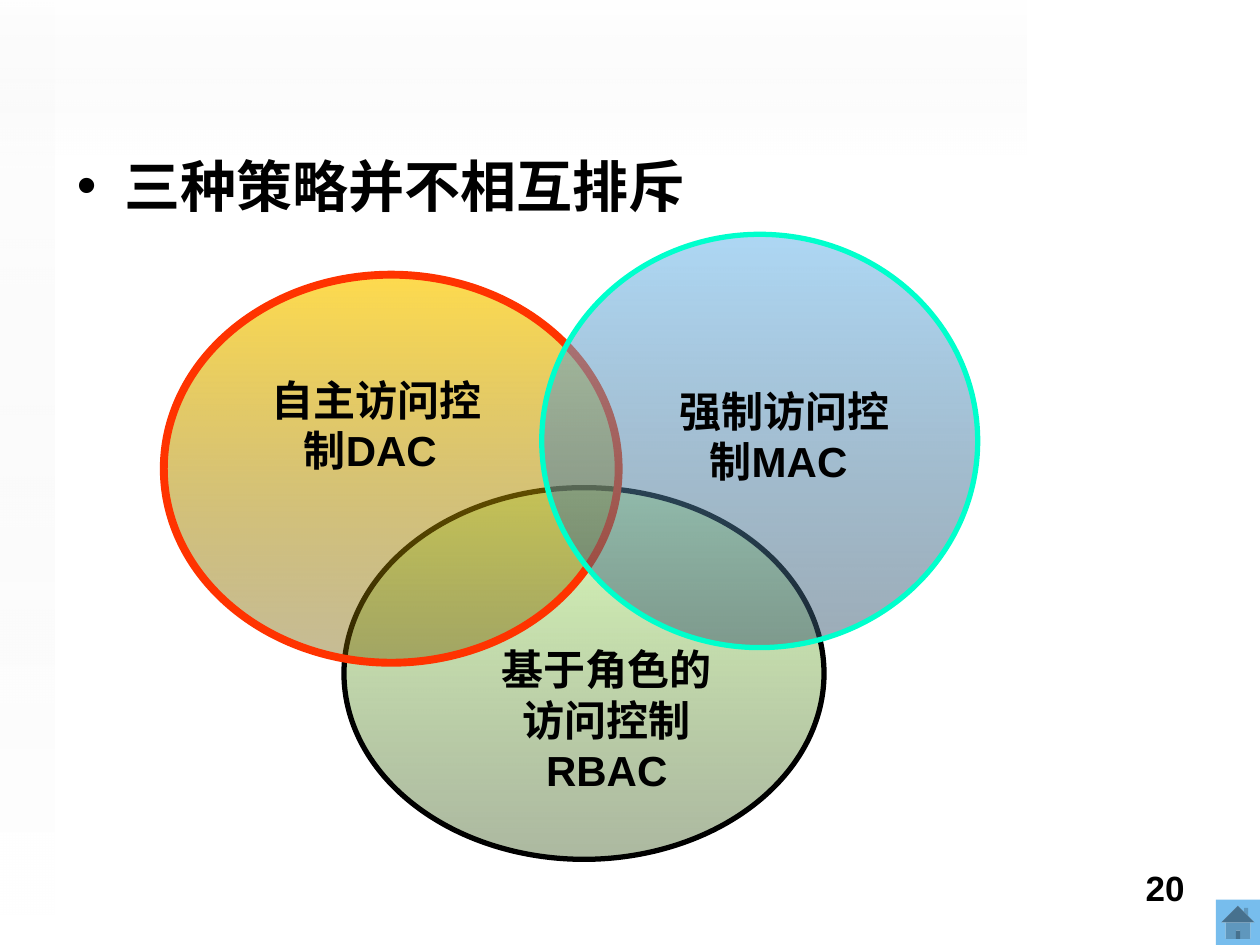
from pptx import Presentation
from pptx.dml.color import RGBColor
from pptx.enum.shapes import MSO_SHAPE as Shape
from pptx.enum.text import MSO_ANCHOR as Anchor, MSO_AUTO_SIZE as AutoSize, PP_ALIGN as Align
from pptx.oxml.ns import qn
from pptx.util import Inches, Pt
from lxml.etree import SubElement

FONT = "Arial"
BLACK = RGBColor(0x00, 0x00, 0x00)
WHITE = RGBColor(0xFF, 0xFF, 0xFF)
GRAY = RGBColor(0xEA, 0xEA, 0xEA)
LIME, OLIVE = RGBColor(0xCC, 0xFF, 0x99), RGBColor(0x5E, 0x76, 0x47)
GOLD, BROWN = RGBColor(0xFF, 0xCC, 0x00), RGBColor(0x76, 0x5E, 0x00)
SKY, NAVY = RGBColor(0x77, 0xBD, 0xED), RGBColor(0x37, 0x57, 0x6E)
RED, TURQUOISE = RGBColor(0xFF, 0x33, 0x00), RGBColor(0x00, 0xFF, 0xCC)

# Content: boxes are left, top, width, height; gradient stops are colour, opacity %
STATEMENT = "三种策略并不相互排斥"
PAGE_NUMBER = "20"
STRIPS = [  # box, rotation, gradient angle (counter-clockwise), end opacity
    ((3.46, -3.46, 1.23, 8.15), 90, 0, 49),
    ((0, 0, 0.43, 7.26), 180, 90, 65),
]
CIRCLES = [  # box, gradient stops, outline colour, outline width
    ((2.73, 3.87, 3.81, 2.95), ((LIME, 67), (OLIVE, 51)), BLACK, 3),
    ((1.3, 2.18, 3.61, 3.08), ((GOLD, 70), (BROWN, 41)), RED, 4.5),
    ((4.3, 1.86, 3.46, 3.28), ((SKY, 60), (NAVY, 49)), TURQUOISE, 3),
]
LABELS = [
    ("自主访问控制DAC ", (1.96, 2.92, 2.05, 0.9)),
    ("强制访问控制MAC ", (5.2, 3.01, 2.05, 0.9)),
    ("基于角色的访问控制RBAC", (3.79, 5.06, 2.05, 1.3)),
]


def inches(box):
    return [Inches(value) for value in box]


def add_plain_shape(shapes, kind, box):
    shape = shapes.add_shape(kind, *inches(box))
    shape.shadow.inherit = False
    shape.line.fill.background()
    return shape


def fill_gradient(shape, stops, angle):
    shape.fill.gradient()
    shape.fill.gradient_angle = angle
    for position, (stop, (color, opacity)) in enumerate(zip(shape.fill.gradient_stops, stops)):
        stop.position = position
        stop.color.rgb = color
    gradient = shape._element.spPr.find(qn("a:gradFill"))
    for node, (color, opacity) in zip(gradient.iter(qn("a:srgbClr")), stops):
        SubElement(node, qn("a:alpha"), val=str(opacity * 1000))


def style_text(paragraph, size, align):
    paragraph.alignment = align
    for span in paragraph.runs:
        span.font.name = FONT
        span.font.size = Pt(size)
        span.font.bold = True
        span.font.color.rgb = BLACK


def add_text(shapes, text, box, size, align):
    text_box = shapes.add_textbox(*inches(box))
    frame = text_box.text_frame
    frame.word_wrap = True
    frame.text = text
    style_text(frame.paragraphs[0], size, align)
    return frame


deck = Presentation()
deck.slide_width, deck.slide_height = Inches(10), Inches(7.5)
page = deck.slides.add_slide(deck.slide_layouts[1])
title = page.shapes.title._element
title.getparent().remove(title)

# Faint background strips and home button
for box, rotation, angle, opacity in STRIPS:
    strip = add_plain_shape(page.shapes, Shape.RECTANGLE, box)
    strip.rotation = rotation
    fill_gradient(strip, ((GRAY, 0), (WHITE, opacity)), angle)
home = add_plain_shape(page.shapes, Shape.ACTION_BUTTON_HOME, (9.65, 7.14, 0.35, 0.36))
home.fill.solid()
home.fill.fore_color.rgb = SKY

# Page number
add_text(page.shapes, PAGE_NUMBER, (7.17, 6.83, 2.33, 0.52), 20, Align.RIGHT)

# Overlapping circles with their labels
venn = page.shapes.add_group_shape()
for box, stops, outline, width in CIRCLES:
    circle = add_plain_shape(venn.shapes, Shape.OVAL, box)
    fill_gradient(circle, stops, 270)
    circle.line.color.rgb = outline
    circle.line.width = Pt(width)
for text, box in LABELS:
    frame = add_text(venn.shapes, text, box, 24, Align.CENTER)
    frame.auto_size = AutoSize.SHAPE_TO_FIT_TEXT

# Bulleted statement
body = page.placeholders[1]
body.left, body.top, body.width, body.height = inches((0.51, 1.15, 8.66, 5.35))
body.text_frame.vertical_anchor = Anchor.TOP
body.text_frame.text = STATEMENT
statement = body.text_frame.paragraphs[0]
statement.space_before = Pt(0)
properties = statement._p.get_or_add_pPr()
properties.set("marL", str(Inches(0.38)))
properties.set("indent", str(-Inches(0.38)))
bullet_color = SubElement(properties, qn("a:buClr"))
SubElement(bullet_color, qn("a:srgbClr"), val=str(BLACK))
SubElement(properties, qn("a:buFont"), typeface=FONT)
SubElement(properties, qn("a:buChar"), char="•")
style_text(statement, 32, Align.LEFT)

deck.save("out.pptx")
